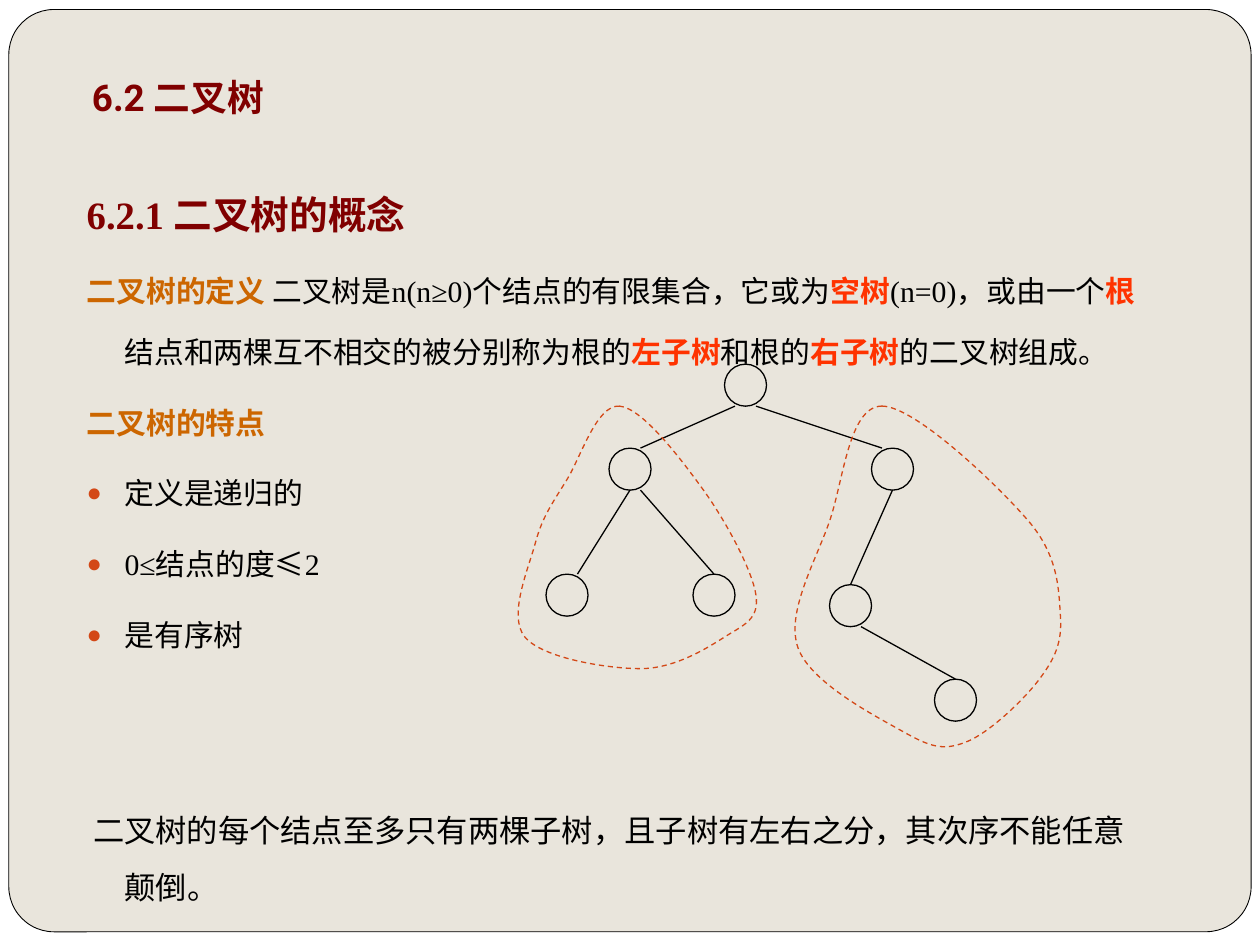
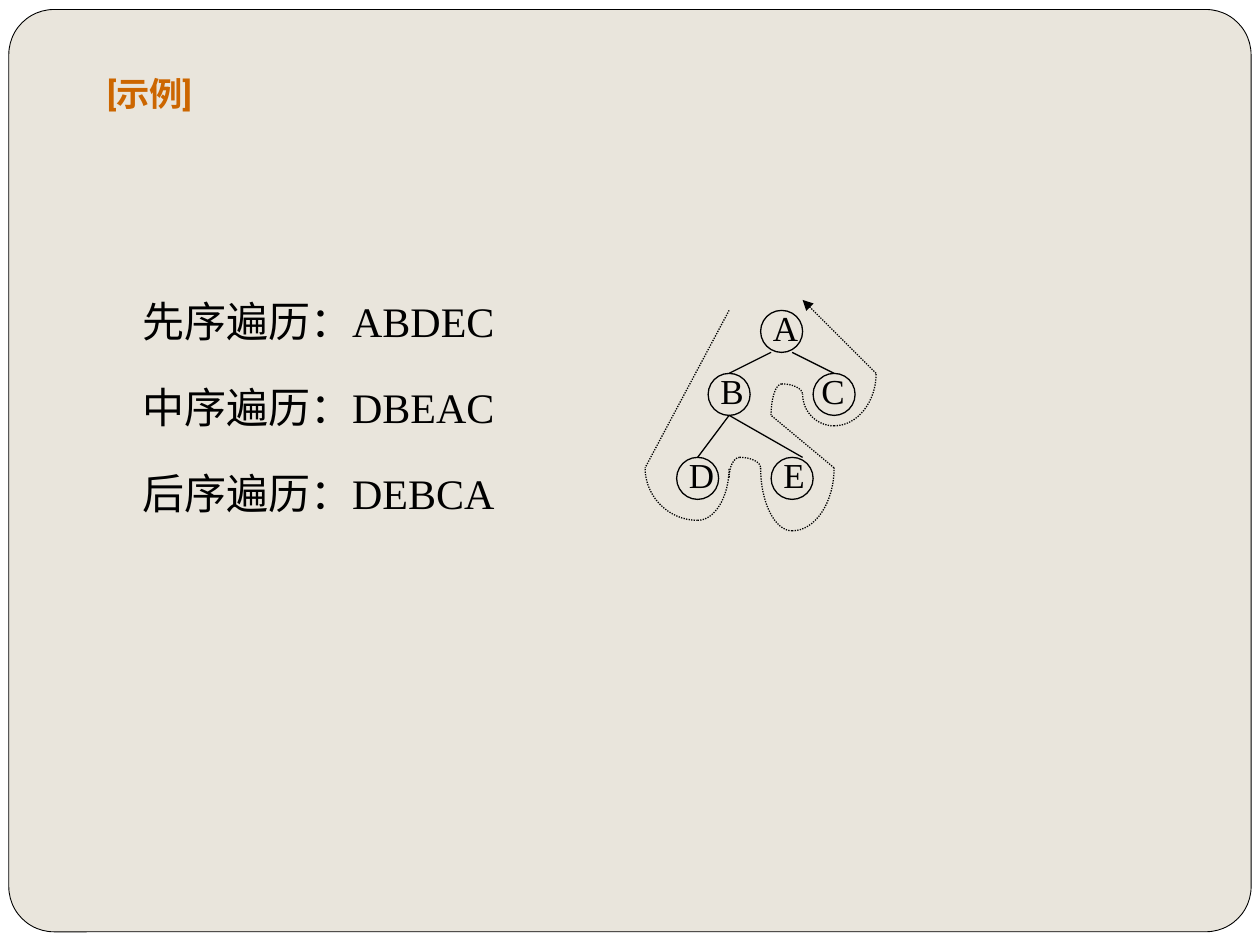
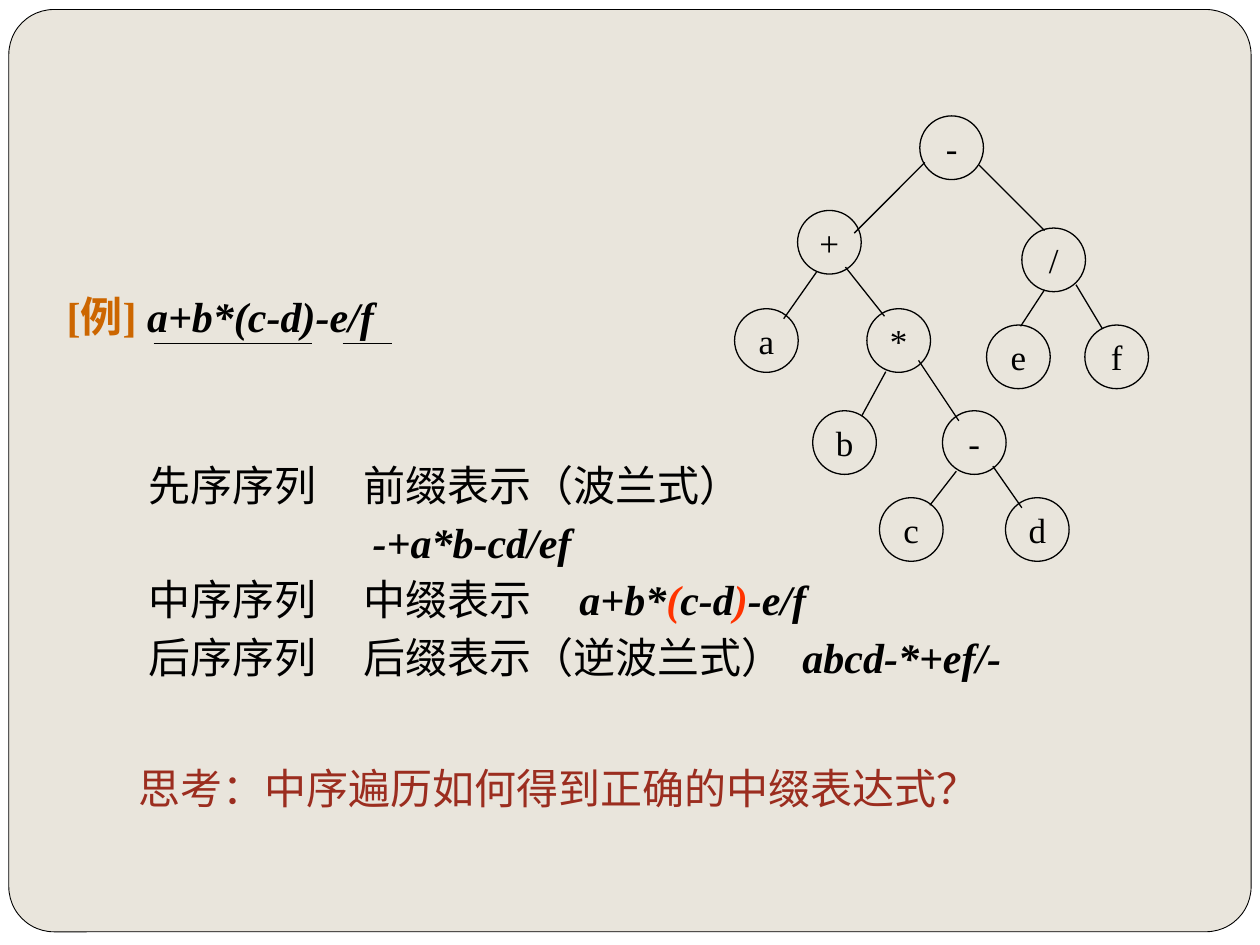
from dataclasses import dataclass
from typing import NamedTuple

import lxml.etree
import pptx
import pptx.dml.color
import pptx.enum.dml
import pptx.enum.shapes
import pptx.enum.text
import pptx.oxml.ns
import pptx.util

Inches, Pt = pptx.util.Inches, pptx.util.Pt
qn = pptx.oxml.ns.qn
Shapes = pptx.enum.shapes.MSO_SHAPE
Dash = pptx.enum.dml.MSO_LINE
Anchor = pptx.enum.text.MSO_ANCHOR
Align = pptx.enum.text.PP_ALIGN
Point = tuple[float, float]


@dataclass(frozen=True)
class Theme:
    paper: str = "FFFFFF"
    card: str = "E9E5DC"
    ink: str = "000000"
    heading: str = "800000"
    label: str = "CC6600"
    keyword: str = "FF3300"
    accent: str = "D34817"
    question: str = "9B2D1F"
    title_font: str = "Roboto"
    body_font: str = "Times New Roman"
    title_size: float = 21
    example_title_size: float = 19
    heading_size: float = 22.1
    body_size: float = 17
    remark_size: float = 17.9
    large_size: float = 24
    node_size: float = 20
    thin: float = 0.5
    stroke: float = 0.75
    gap: float = 5.8


THEME = Theme()
TWELFTH = 1 / 12


class Grid(NamedTuple):
    """Square cells counted from a corner; corner and cell are in inches."""
    left: float
    top: float
    cell: float

    def at(self, column: float, row: float) -> tuple[int, int]:
        return Inches(self.left + column * self.cell), Inches(self.top + row * self.cell)

    def box(self, column: float, row: float, columns: float, rows: float) -> tuple[int, ...]:
        return (*self.at(column, row), Inches(columns * self.cell), Inches(rows * self.cell))


class Run(NamedTuple):
    text: str
    color: str | None = None
    bold: bool | None = None
    italic: bool | None = None


class Para(NamedTuple):
    runs: tuple[Run, ...]
    size: float
    color: str = THEME.ink
    bold: bool = False
    font: str = THEME.body_font
    spacing: float = 1.0
    before: float = 0
    margin: float = 0
    indent: float = 0
    bullet: bool = False
    align: Align = Align.LEFT


class Node(NamedTuple):
    column: float
    row: float
    text: str = ""


class Edge(NamedTuple):
    start: Point
    end: Point


class Cell(NamedTuple):
    """Text in a listing: page column and number of its line."""
    column: float
    line: int
    runs: tuple[Run, ...]


@dataclass(frozen=True)
class Tree:
    grid: Grid
    node_cells: float
    nodes: tuple[Node, ...]
    edges: tuple[Edge, ...]


PAGE = Grid(0, 0, 0.1)  # 100 columns by 75 rows

CONCEPT_TREE = Tree(
    Grid(4, 2.89, TWELFTH), 4,
    (Node(21, 0), Node(10, 8), Node(4, 20), Node(18, 20), Node(41, 30), Node(31, 21),
     Node(35, 8)),
    (Edge((22, 4), (13, 8)), Edge((24, 4), (36, 8)), Edge((12, 12), (7, 20)),
     Edge((13, 12), (20, 20)), Edge((37, 12), (33, 21)), Edge((34, 25), (43, 30))))
SUBTREE_OUTLINES = (
    ((11, 4), (6, 11), (3, 17), (2, 26), (13, 29), (21, 26), (24, 22), (19, 12)),
    ((36, 4), (31, 15), (28, 27), (38, 35), (44, 36), (51, 30), (53, 24), (50, 15)))

TRAVERSAL_TREE = Tree(
    Grid(5.12, 2.38, TWELFTH), 4,
    (Node(11, 1), Node(6, 7), Node(16, 7), Node(3, 15), Node(12, 15)),
    (Edge((12, 5), (8, 7)), Edge((14, 5), (18, 7)), Edge((8, 11), (5, 15)),
     Edge((8, 11), (15, 15))))
TRAVERSAL_LABELS = (Node(11, 0, "A"), Node(6, 6, "B"), Node(15.6, 6, "C"),
                    Node(3, 14, "D"), Node(12, 14, "E"))
ROUTE_TURNS = (
    Edge((5, 21), (0, 16)), Edge((5, 21), (8, 16)), Edge((9, 15), (8, 17)),
    Edge((9, 15), (11, 16)), Edge((14, 22), (11, 16)), Edge((14, 22), (18, 16)),
    Edge((13, 8), (12, 11)), Edge((13, 8), (15, 9)), Edge((18, 12), (15, 9)),
    Edge((18, 12), (22, 7)))
ROUTE_START = Edge((8, 1), (0, 16))
ROUTE_MIDDLE = Edge((18, 16), (12, 11))
ROUTE_END = Edge((22, 7), (15, 0))

EXPRESSION_TREE = Tree(
    Grid(5.83, 0.92, 0.1), 5.05,
    (Node(14.7, 0, "-"), Node(5, 7.5, "+"), Node(22.8, 8.9, "/"), Node(0, 15.3, "a"),
     Node(10.5, 15.3, "*"), Node(6.2, 23.4, "b"), Node(16.5, 23.4, "-"),
     Node(20, 16.6, "e"), Node(27.8, 16.6, "f"), Node(11.5, 30.3, "c"),
     Node(21.5, 30.3, "d")),
    (Edge((6.5, 12.4), (3.9, 16.1)), Edge((8.8, 12), (11.9, 15.9)),
     Edge((14.6, 19.4), (17.8, 24.2)), Edge((12, 20.3), (10.1, 23.8)),
     Edge((15.1, 3.7), (9.5, 9.3)), Edge((19.4, 3.9), (24.6, 9.1)),
     Edge((24.6, 13.8), (22.7, 16.7)), Edge((27.1, 13.4), (29.2, 16.9)),
     Edge((17.6, 28.2), (15.5, 30.9)), Edge((20.5, 27.8), (22.8, 31.1))))


def rgb(color: str) -> pptx.dml.color.RGBColor:
    return pptx.dml.color.RGBColor.from_string(color)


def set_stroke(shape, color: str = THEME.ink, width: float = THEME.stroke, dash=None) -> None:
    shape.line.color.rgb = rgb(color)
    shape.line.width = Pt(width)
    if dash is not None:
        shape.line.dash_style = dash


def write_paragraph(paragraph, para: Para) -> None:
    paragraph.line_spacing = para.spacing
    paragraph.space_before = Pt(para.before)
    paragraph.alignment = para.align
    properties = paragraph._p.get_or_add_pPr()
    properties.set("marL", str(Inches(para.margin)))
    properties.set("indent", str(Inches(para.indent)))
    if para.bullet:
        bullet_color = lxml.etree.SubElement(properties, qn("a:buClr"))
        lxml.etree.SubElement(bullet_color, qn("a:srgbClr"), val=THEME.accent)
        lxml.etree.SubElement(properties, qn("a:buSzPct"), val="85000")
        lxml.etree.SubElement(properties, qn("a:buFont"), typeface=THEME.body_font)
        lxml.etree.SubElement(properties, qn("a:buChar"), char="●")
    else:
        lxml.etree.SubElement(properties, qn("a:buNone"))
    font = paragraph.font
    font.name, font.size, font.bold = para.font, Pt(para.size), para.bold
    font.color.rgb = rgb(para.color)
    for piece in para.runs:
        run = paragraph.add_run()
        run.text = piece.text
        if piece.color:
            run.font.color.rgb = rgb(piece.color)
        if piece.bold is not None:
            run.font.bold = piece.bold
        if piece.italic is not None:
            run.font.italic = piece.italic


def write_text(frame, paras: tuple[Para, ...]) -> None:
    for index, para in enumerate(paras):
        write_paragraph(frame.add_paragraph() if index else frame.paragraphs[0], para)


def add_text(slide, box: tuple[int, ...], *paras: Para) -> None:
    frame = slide.shapes.add_textbox(*box).text_frame
    frame.word_wrap = True
    write_text(frame, paras)


def set_title(slide, box: tuple[int, ...], text: str, size: float, color: str) -> None:
    title = slide.shapes.title
    title.left, title.top, title.width, title.height = box
    frame = title.text_frame
    frame.vertical_anchor = Anchor.BOTTOM
    frame.margin_bottom = Inches(0.1)
    write_text(frame, (Para((Run(text),), size, color, True, THEME.title_font),))


def add_line(slide, grid: Grid, edge: Edge, dash=None, arrow: bool = False) -> None:
    connector = slide.shapes.add_connector(
        pptx.enum.shapes.MSO_CONNECTOR.STRAIGHT, *grid.at(*edge.start), *grid.at(*edge.end))
    set_stroke(connector, dash=dash)
    properties = connector.element.spPr
    if arrow:
        lxml.etree.SubElement(properties.find(qn("a:ln")), qn("a:tailEnd"), type="triangle")
    lxml.etree.SubElement(properties, qn("a:effectLst"))


def add_node(slide, tree: Tree, node: Node) -> None:
    circle = slide.shapes.add_shape(
        Shapes.OVAL,
        *tree.grid.box(node.column, node.row, tree.node_cells, tree.node_cells))
    circle.shadow.inherit = False
    circle.fill.background()
    set_stroke(circle)
    if node.text:
        frame = circle.text_frame
        frame.word_wrap = False
        frame.vertical_anchor = Anchor.MIDDLE
        write_text(frame, (Para((Run(node.text),), THEME.node_size, align=Align.CENTER),))


def add_tree(slide, tree: Tree) -> None:
    for node in tree.nodes:
        add_node(slide, tree, node)
    for edge in tree.edges:
        add_line(slide, tree.grid, edge)


def add_curve(slide, grid: Grid, points: list[Point], color: str, dash, close: bool) -> None:
    """Draw cubic curves: a start, then two control points and an end for each."""
    first, *rest = [grid.at(*point) for point in points]
    builder = slide.shapes.build_freeform(*first)
    builder.add_line_segments(rest, close=close)
    curve = builder.convert_to_shape()
    segments = list(curve.element.iter(qn("a:lnTo")))
    for index in range(0, len(segments), 3):
        bezier = lxml.etree.Element(qn("a:cubicBezTo"))
        segments[index].addprevious(bezier)
        for segment in segments[index:index + 3]:
            bezier.append(segment[0])
            segment.getparent().remove(segment)
    curve.shadow.inherit = False
    curve.fill.background()
    set_stroke(curve, color, dash=dash)


def closed_spline(knots: tuple[Point, ...]) -> list[Point]:
    """Curve points of the Catmull-Rom spline that runs through all knots and closes."""
    points = [knots[0]]
    for index in range(len(knots)):
        before, start, end, after = (knots[(index + shift) % len(knots)]
                                     for shift in (-1, 0, 1, 2))
        points += [tuple(s + (e - b) / 6 for b, s, e in zip(before, start, end)),
                   tuple(e - (a - s) / 6 for s, e, a in zip(start, end, after)),
                   end]
    return points


def quarter_turn(edge: Edge, pull: float = 0.55) -> list[Point]:
    """Curve points of a quarter ellipse that leaves its start horizontally."""
    (x0, y0), (x1, y1) = edge
    return [(x0, y0), (x0 + pull * (x1 - x0), y0), (x1, y1 + pull * (y0 - y1)), (x1, y1)]


def concept_para(*runs: Run, **options) -> Para:
    settings = dict(size=THEME.body_size, spacing=1.7, before=THEME.gap,
                    margin=0.3, indent=-0.3)
    return Para(runs, **(settings | options))


def keyword(text: str) -> Run:
    return Run(text, THEME.keyword, True)


def build_concept_slide(slide) -> None:
    set_title(slide, PAGE.box(6.3, 3.3, 87.5, 7.1), "6.2 二叉树",
              THEME.title_size, THEME.heading)
    add_text(
        slide, PAGE.box(5.9, 12.1, 86.7, 60.6),
        concept_para(Run("6.2.1 二叉树的概念"), size=THEME.heading_size,
                     color=THEME.heading, bold=True, before=0),
        concept_para(
            Run("二叉树的定义 ", THEME.label, True),
            Run("二叉树是n(n≥0)个结点的有限集合，它或为"), keyword("空树"),
            Run("(n=0)，或由一个"), keyword("根"),
            Run("结点和两棵互不相交的被分别称为根的"), keyword("左子树"),
            Run("和根的"), keyword("右子树"), Run("的二叉树组成。")),
        concept_para(Run("二叉树的特点"), color=THEME.label, bold=True),
        *(concept_para(Run(trait), bullet=True)
          for trait in ("定义是递归的", "0≤结点的度≤2", "是有序树")),
        concept_para(
            Run("二叉树的每个结点至多只有两棵子树，且子树有左右之分，其次序不能任意颠倒。"),
            size=THEME.remark_size, spacing=1.5, before=80, indent=-0.25))
    add_tree(slide, CONCEPT_TREE)
    for knots in SUBTREE_OUTLINES:
        add_curve(slide, CONCEPT_TREE.grid, closed_spline(knots), THEME.accent,
                  Dash.DASH, True)


def build_traversal_slide(slide) -> None:
    set_title(slide, PAGE.box(7.5, 4.2, 85, 5.8), "[示例]",
              THEME.example_title_size, THEME.label)
    orders = ("先序遍历：ABDEC", "中序遍历：DBEAC", "后序遍历：DEBCA")
    add_text(slide, PAGE.box(10.3, 21, 85, 45.7),
             *(Para((Run(order),), THEME.large_size, spacing=1.5,
                    before=THEME.gap if index else 0)
               for index, order in enumerate(orders)))
    add_tree(slide, TRAVERSAL_TREE)
    grid, dots = TRAVERSAL_TREE.grid, Dash.ROUND_DOT
    for label in TRAVERSAL_LABELS:
        add_text(slide, grid.box(label.column, label.row, 6, 5),
                 Para((Run(label.text),), THEME.node_size))
    for turn in ROUTE_TURNS:
        add_curve(slide, grid, quarter_turn(turn), THEME.ink, dots, False)
    add_line(slide, grid, ROUTE_START, dots)
    add_line(slide, grid, ROUTE_MIDDLE, dots)
    add_line(slide, grid, ROUTE_END, dots, arrow=True)


def formula(text: str, color: str | None = None) -> Run:
    return Run(text, color, True, True)


def build_expression_slide(slide) -> None:
    size = THEME.large_size
    add_text(slide, PAGE.box(4.3, 22.6, 40, 5),
             Para((Run("[例] ", THEME.label, True), formula("a+b*(c-d)-e/f")), size))
    cells = (
        Cell(10.8, 0, (Run("先序序列"),)),
        Cell(27.9, 0, (Run("前缀表示（波兰式）"),)),
        Cell(28.6, 1, (formula("-+a*b-cd/ef"),)),
        Cell(10.8, 2, (Run("中序序列"),)),
        Cell(27.9, 2, (Run("中缀表示"),)),
        Cell(45, 2, (formula("a+b*"), formula("(", THEME.keyword), formula("c-d"),
                     formula(")", THEME.keyword), formula("-e/f"))),
        Cell(10.8, 3, (Run("后序序列"),)),
        Cell(27.9, 3, (Run("后缀表示（逆波兰式）"),)),
        Cell(62.7, 3, (formula("abcd-*+ef/-"),)))
    for cell in cells:
        add_text(slide, PAGE.box(cell.column, 36 + 4.53 * cell.line, 36, 5),
                 Para(cell.runs, size))
    add_tree(slide, EXPRESSION_TREE)
    add_text(slide, PAGE.box(10, 60, 77.5, 5),
             Para((Run("思考：中序遍历如何得到正确的中缀表达式？"),), size, THEME.question))
    for start, end in ((12.2, 24.8), (27.2, 31.1)):
        add_line(slide, PAGE, Edge((start, 27.26), (end, 27.26)))


def add_card_to_master(presentation, slide) -> None:
    """Draw the rounded card on a slide, then move it to the back of the master."""
    master = presentation.slide_master
    master.background.fill.solid()
    master.background.fill.fore_color.rgb = rgb(THEME.paper)
    card = slide.shapes.add_shape(Shapes.ROUNDED_RECTANGLE, *PAGE.box(0.7, 0.75, 98.6, 73.2))
    card.adjustments[0] = 0.049
    card.shadow.inherit = False
    card.fill.solid()
    card.fill.fore_color.rgb = rgb(THEME.card)
    set_stroke(card, width=THEME.thin)
    master.shapes.element.insert(2, card.element)


def main() -> None:
    presentation = pptx.Presentation()
    presentation.slide_width, presentation.slide_height = PAGE.at(100, 75)
    layouts = presentation.slide_layouts
    title_only = layouts.get_by_name("Title Only")
    blank = layouts.get_by_name("Blank")
    for layout, build in ((title_only, build_concept_slide),
                          (title_only, build_traversal_slide),
                          (blank, build_expression_slide)):
        build(presentation.slides.add_slide(layout))
    add_card_to_master(presentation, presentation.slides[0])
    presentation.save("out.pptx")


if __name__ == "__main__":
    main()
